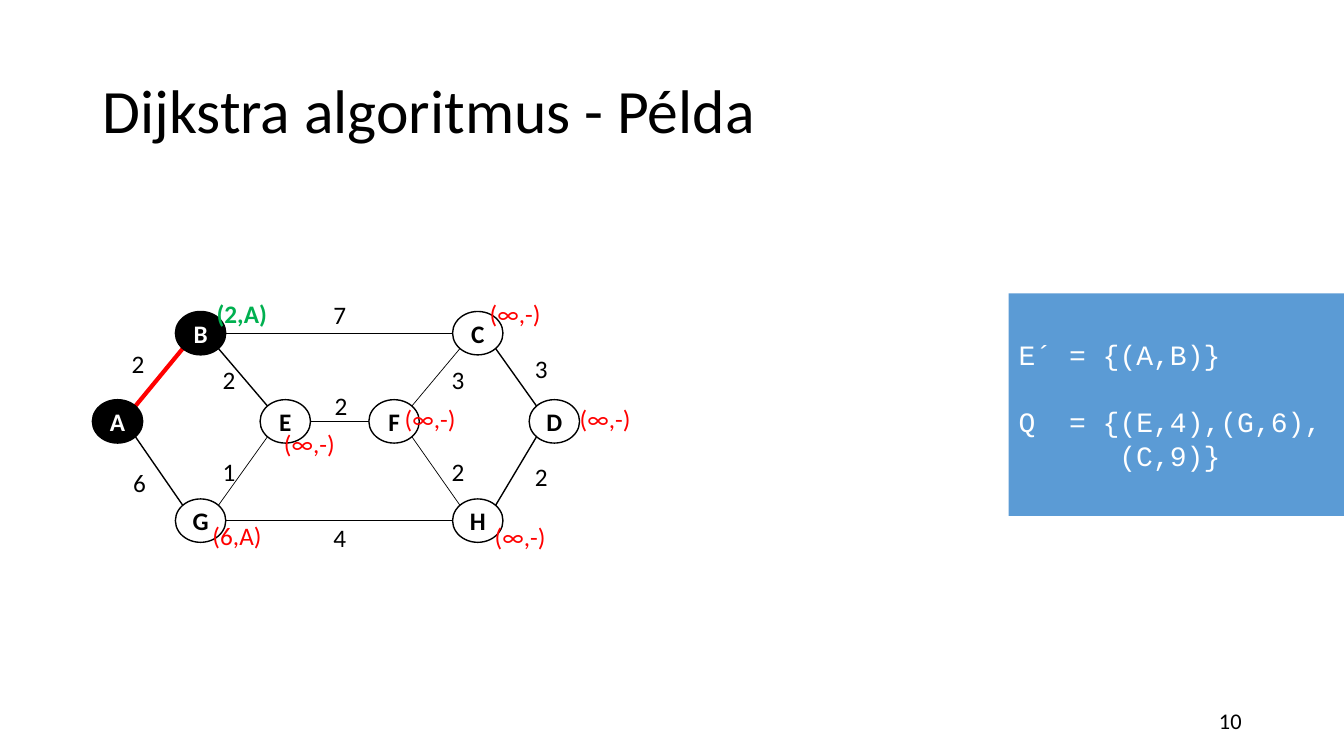
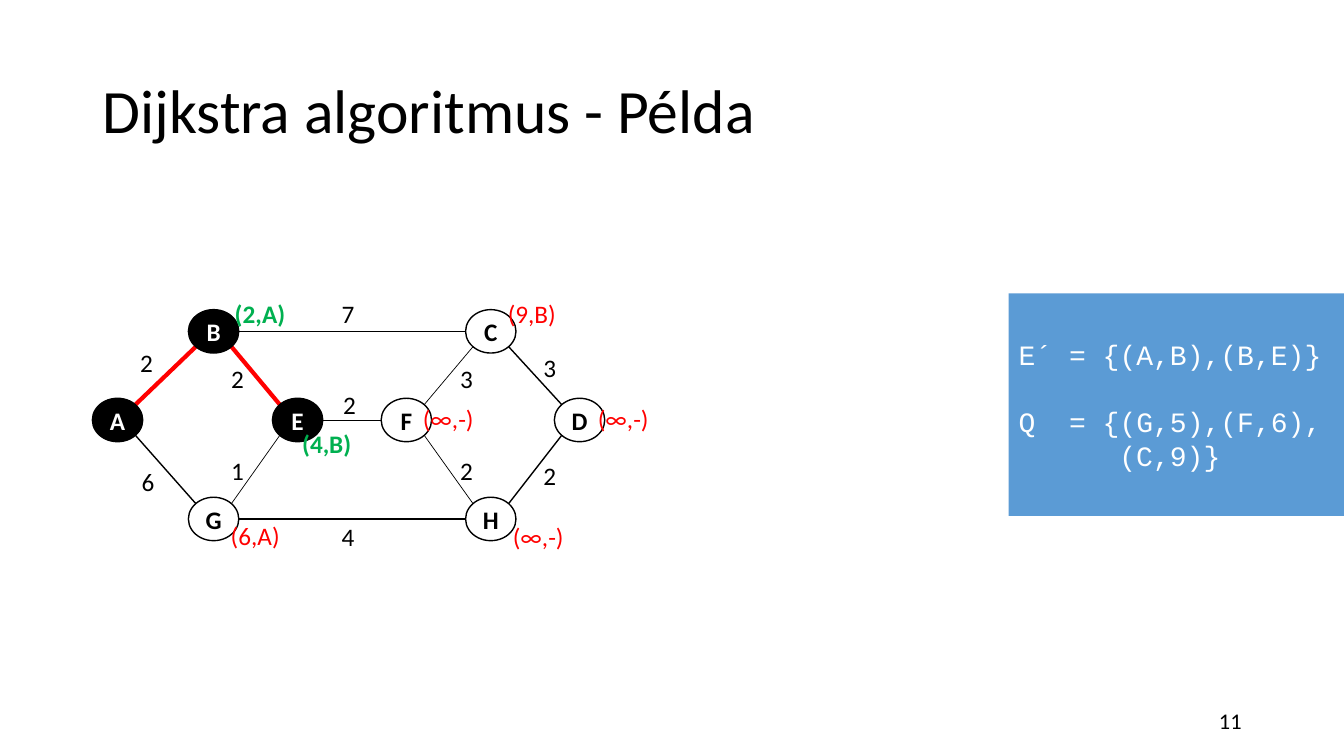
"""Two steps of Dijkstra's algorithm on a small weighted graph."""
from math import copysign, sqrt

from lxml import etree
from pptx import Presentation
from pptx.dml.color import RGBColor
from pptx.enum.shapes import MSO_CONNECTOR, MSO_SHAPE
from pptx.enum.text import MSO_ANCHOR, MSO_AUTO_SIZE, PP_ALIGN
from pptx.oxml.ns import qn
from pptx.util import Pt

OVAL, RECT = MSO_SHAPE.OVAL, MSO_SHAPE.RECTANGLE
LINE = MSO_CONNECTOR.STRAIGHT
MID, TOP = MSO_ANCHOR.MIDDLE, MSO_ANCHOR.TOP
LEFT, MIDST, RIGHT = PP_ALIGN.LEFT, PP_ALIGN.CENTER, PP_ALIGN.RIGHT
FIXED = MSO_AUTO_SIZE.NONE

BLACK, WHITE, RED = "000000", "FFFFFF", "FF0000"
GREEN, BLUE = "00B050", "5B9BD5"
SANS, MONO = "Calibri", "Courier New"
WIDE, HIGH = 36, 31
CHAR, LEAD = 12, 24
TITLE = "Dijkstra algoritmus - Példa"

ROWS = {"B": 0, "C": 0, "A": 1, "E": 1, "F": 1, "D": 1, "G": 2, "H": 2}
EDGES = [
    ("AB", 1, "2", 87, 245.5),
    ("AG", 1, "6", 88, 330.5),
    ("BC", 1, "7", 231, 210),
    ("GH", 1, "4", 231, 369.5),
    ("HD", 1, "2", 375, 326),
    ("CD", 1, "3", 375, 248.5),
    ("BE", 1, "2", 152, 257),
    ("GE", 0.5, "1", 152, 322.5),
    ("EF", 0.5, "2", 232, 275),
    ("FC", 0.5, "3", 315.5, 256.5),
    ("FH", 0.5, "2", 315.5, 322.5),
]
SPOTS = {
    "F": (282, 284.4), "E": (195.8, 302.4), "G": (144.7, 368),
    "B": (147.6, 209.5), "C": (342.7, 209.5), "D": (407, 284.4),
    "H": (346.3, 368.5),
}
STEPS = [
    {
        "page": "10", "done": "AB", "tree": ["AB"],
        "cols": {"A": 66, "B": 125.3, "G": 125.3, "E": 185.8,
                 "F": 263.5, "C": 323.3, "H": 323.3, "D": 378},
        "rows": (222.5, 285.5, 356.4), "move": (0, 0), "slip": 0,
        "tags": {"B": "(2,A)", "G": "(6,A)"},
        "code": ["E´ = {(A,B)}", "Q  = {(E,4),(G,6),", "(C,9)}"],
    },
    {
        "page": "11", "done": "ABE", "tree": ["AB", "BE"],
        "cols": {"A": 66, "B": 134.6, "G": 134.6, "E": 194.6,
                 "F": 272.3, "C": 332.6, "H": 332.6, "D": 396},
        "rows": (221.2, 284.5, 355.2), "move": (6, -0.7), "slip": 13,
        "tags": {"B": "(2,A)", "G": "(6,A)", "E": "(4,B)", "C": "(9,B)"},
        "code": ["E´ = {(A,B),(B,E)}", "Q  = {(G,5),(F,6),", "(C,9)}"],
    },
]


def rgb(code):
    return RGBColor.from_string(code)


def style(par, size, color=BLACK, face=SANS, bold=False, align=LEFT):
    font = par.font
    font.size, font.name, font.bold = Pt(size), face, bold
    font.color.rgb = rgb(color)
    par.alignment = align


def label(slide, text, box, anchor=TOP, size=18, **look):
    frame = slide.shapes.add_textbox(*map(Pt, box)).text_frame
    frame.word_wrap = True
    frame.vertical_anchor = anchor
    frame.text = text
    style(frame.paragraphs[0], size, **look)


def solid(slide, kind, box, fill, edge=None):
    shape = slide.shapes.add_shape(kind, *map(Pt, box))
    shape.shadow.inherit = False
    shape.fill.solid()
    shape.fill.fore_color.rgb = rgb(fill)
    if edge:
        shape.line.color.rgb = rgb(edge)
        shape.line.width = Pt(1)
    else:
        shape.line.fill.background()
    shape.text_frame.vertical_anchor = MID
    return shape


def node(slide, name, x, y, done):
    fill, ink = (BLACK, WHITE) if done else (WHITE, BLACK)
    frame = solid(slide, OVAL, (x, y, WIDE, HIGH), fill, BLACK).text_frame
    frame.margin_left = frame.margin_right = 0
    frame.margin_top = frame.margin_bottom = 0
    frame.text = name
    style(frame.paragraphs[0], 18, ink, bold=True, align=MIDST)


def rim(start, end):
    """Point on the rim of the start node that faces the end node."""
    (x, y), (u, v) = start, end
    side, rise = (1, 0) if y == v else (sqrt(0.5), sqrt(0.5))
    return (x + WIDE / 2 * (1 + copysign(side, u - x)),
            y + HIGH / 2 * (1 + copysign(rise, v - y)))


def link(slide, start, end, color, width):
    ends = rim(start, end) + rim(end, start)
    line = slide.shapes.add_connector(LINE, *map(Pt, ends))
    line.line.color.rgb = rgb(color)
    line.line.width = Pt(width)
    etree.SubElement(line._element.spPr, qn("a:effectLst"))


def panel(slide, lines):
    box = 720.5, 209.5, 239.5, 159
    frame = solid(slide, RECT, box, BLUE).text_frame
    frame.word_wrap = True
    frame.text = "\n".join(lines)
    pars = frame.paragraphs
    for par in pars:
        style(par, 20, WHITE, MONO)
        par.line_spacing = Pt(LEAD)
    pars[1].space_before = Pt(LEAD)
    pars[2]._p.get_or_add_pPr().set("marL", str(Pt(6 * CHAR)))


def head(slide):
    title = slide.shapes.title
    title.left, title.top = Pt(66), Pt(28.8)
    title.width, title.height = Pt(828), Pt(104.4)
    frame = title.text_frame
    frame.text = TITLE
    frame.auto_size = FIXED
    frame.vertical_anchor = MID
    style(frame.paragraphs[0], 44)
    frame.paragraphs[0].line_spacing = 0.9


def build(deck, step):
    slide = deck.slides.add_slide(deck.slide_layouts[5])
    head(slide)
    done, (dx, dy) = step["done"], step["move"]
    places = {n: (step["cols"][n], step["rows"][r]) for n, r in ROWS.items()}
    for pair, width, cost, x, y in EDGES:
        color, width = (RED, 3) if pair in step["tree"] else (BLACK, width)
        link(slide, places[pair[0]], places[pair[1]], color, width)
    for name, place in places.items():
        node(slide, name, *place, name in done)
    for pair, width, cost, x, y in EDGES:
        label(slide, cost, (x + dx, y + dy, 24, 29))
    for name, (x, y) in SPOTS.items():
        color = GREEN if name in done else RED
        label(slide, step["tags"].get(name, "(∞,-)"),
              (x + step["slip"], y, 56, 29), color=color, bold=name in done)
    panel(slide, step["code"])
    label(slide, step["page"], (678, 500.5, 216, 29), MID, 16, align=RIGHT)


def main():
    deck = Presentation()
    deck.slide_width, deck.slide_height = Pt(960), Pt(540)
    for step in STEPS:
        build(deck, step)
    deck.save("out.pptx")


if __name__ == "__main__":
    main()
